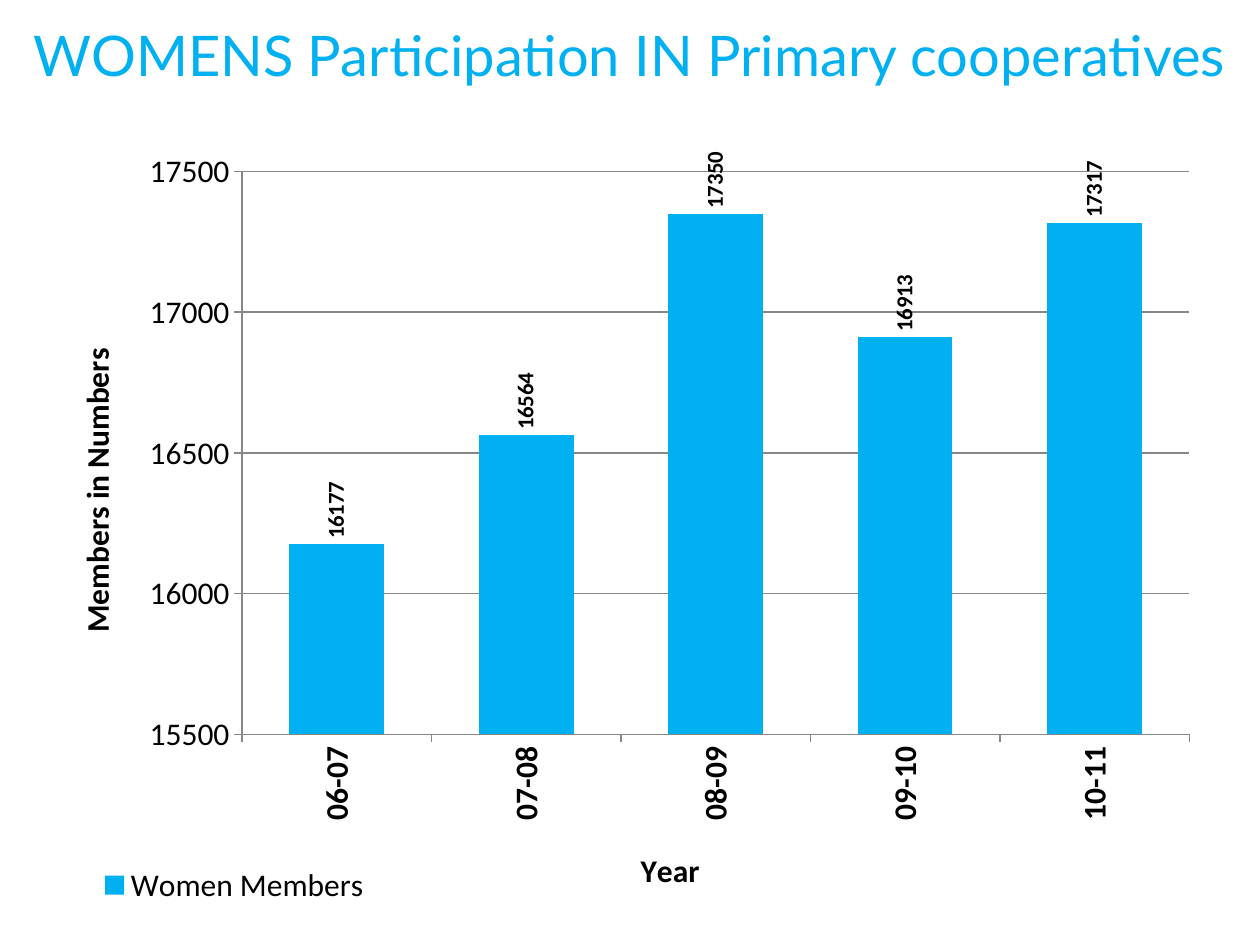
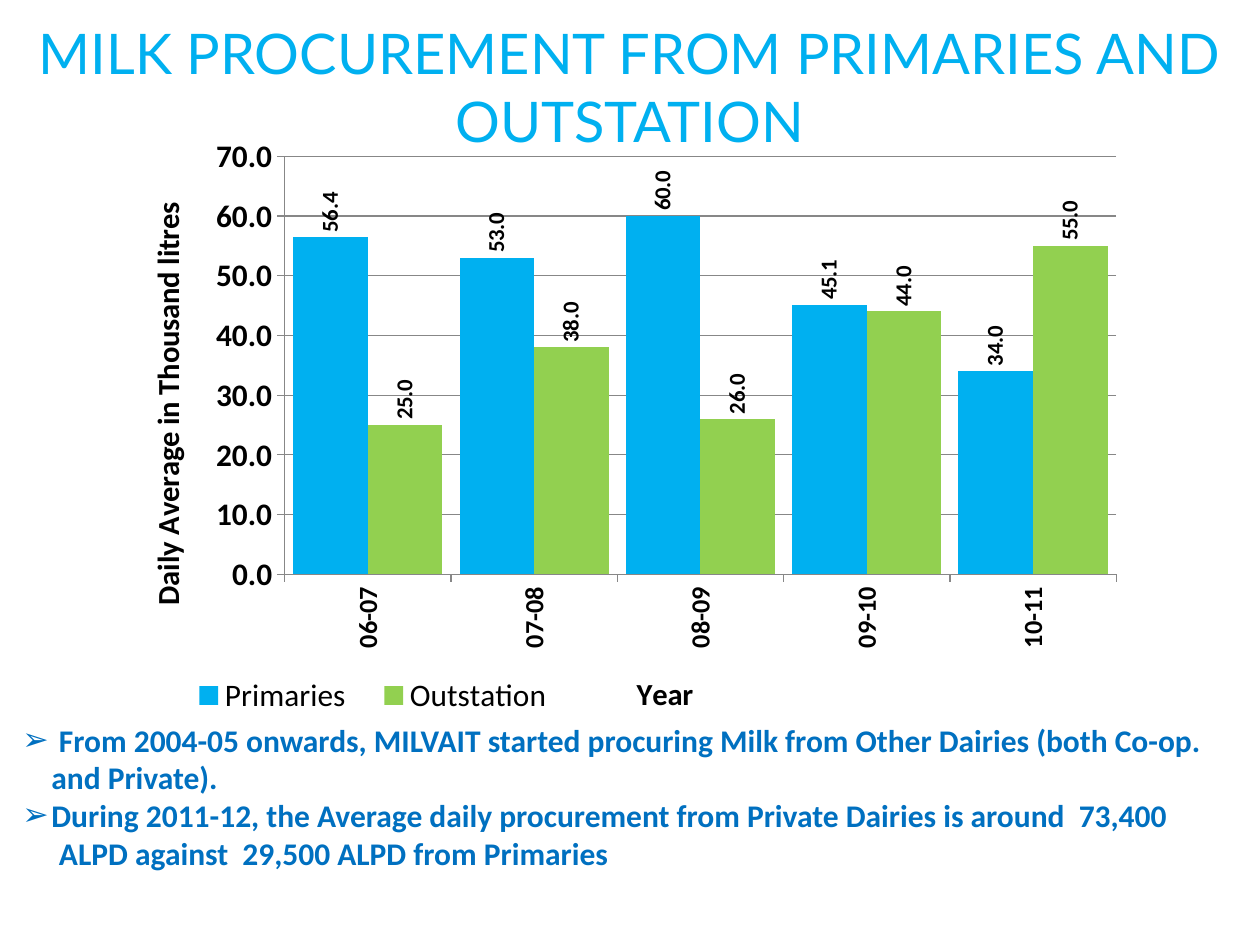
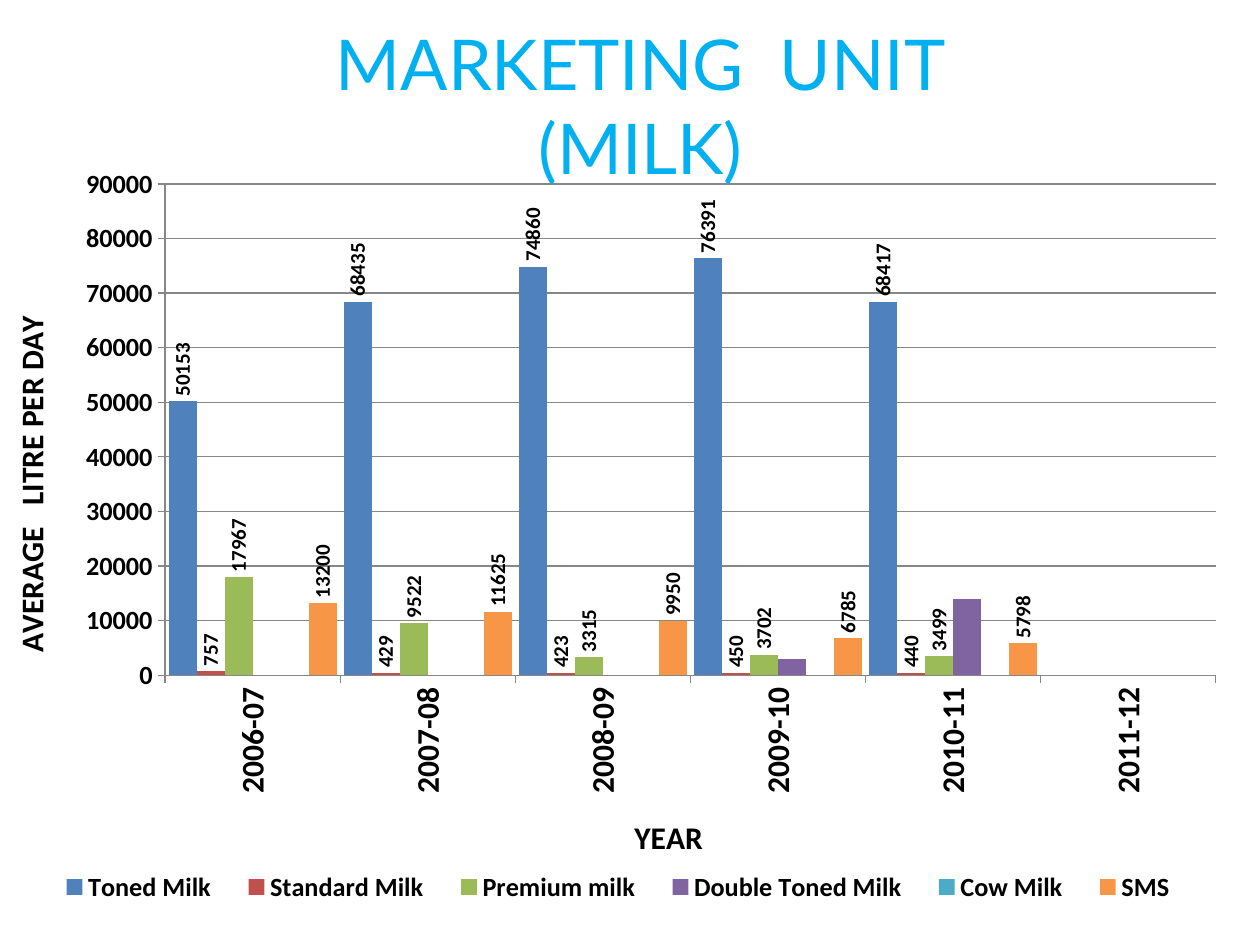
from lxml.etree import SubElement as Sub
from pptx import Presentation
from pptx.chart.data import CategoryChartData as Data
from pptx.dml.color import RGBColor
from pptx.enum.chart import XL_CHART_TYPE as Kind
from pptx.enum.chart import XL_LABEL_POSITION as Spot
from pptx.enum.chart import XL_LEGEND_POSITION as Side
from pptx.enum.chart import XL_TICK_MARK as Tick
from pptx.enum.text import PP_ALIGN as Align
from pptx.oxml import parse_xml
from pptx.oxml.ns import nsdecls, qn
from pptx.util import Inches, Pt

SKY = "00B0F0"
LIME = "92D050"
NAVY = "0070C0"
BLACK = "000000"
GRID = "878787"
UP = "-5400000"
YEARS = ["06-07", "07-08", "08-09", "09-10", "10-11"]


def style(font, size, bold=False, hue=BLACK, name="Calibri"):
    for key, val in {"size": Pt(size), "bold": bold, "name": name}.items():
        setattr(font, key, val)
    font.color.rgb = RGBColor.from_string(hue)


def place(node, index, box, frame, inner=False):
    for old in node.findall(qn("c:layout")):
        node.remove(old)
    layout = parse_xml(f"<c:layout {nsdecls('c')}><c:manualLayout/></c:layout>")
    parts = [("layoutTarget", "inner")] if inner else []
    parts += [("xMode", "edge"), ("yMode", "edge")]
    parts += [(tag, part / full) for tag, part, full in zip("xywh", box, frame[2:] * 2)]
    for tag, val in parts:
        Sub(layout[0], qn("c:" + tag)).set("val", str(val))
    node.insert(index, layout)


decks = [
    {
        "title": ["WOMENS Participation IN Primary cooperatives"],
        "head": (0, 0.11, 10, 1.18), "size": 32,
        "frame": (0.25, 1.08, 9.5, 6.42), "cats": YEARS, "gap": 100,
        "plot": (1.67, 0.28, 7.52, 4.47), "key": (0.42, 5.75, 2.38, 0.39),
        "key font": (18, False), "range": (15500, 17500, 500), "form": "General",
        "cat": ("Year", 18, 18, True, (4.79, 5.61)),
        "val": ("Members in Numbers", 18, 18, False, (0.3, 1.64)),
        "label": 13,
        "rows": [("Women Members", SKY, [16177, 16564, 17350, 16913, 17317])],
    },
    {
        "title": ["MILK PROCUREMENT FROM PRIMARIES AND OUTSTATION"],
        "head": (0, 0.1, 10, 1.18), "size": 32,
        "frame": (0.92, 1.08, 8.17, 4.67), "cats": YEARS, "gap": 23,
        "plot": (1.34, 0.16, 6.6, 3.32), "key": (0.44, 4.29, 3.2, 0.37),
        "key font": (17.9, False), "range": (0, 70, 10), "form": "0.0",
        "cat": ("Year", 17.5, 15, True, (4.09, 4.22)),
        "val": ("Daily Average in Thousand litres", 17.5, 17.9, True, (0.2, 0.48)),
        "label": 13,
        "rows": [
            ("Primaries", SKY, [56.4, 53, 60, 45.1, 34]),
            ("Outstation", LIME, [25, 38, 26, 44, 55]),
        ],
    },
    {
        "title": ["MARKETING  UNIT", "(MILK)"],
        "head": (0.25, 0.11, 9.67, 1.45), "size": 40,
        "frame": (0, 1.25, 10, 6),
        "cats": ["2006-07", "2007-08", "2008-09", "2009-10", "2010-11", "2011-12"],
        "gap": 25,
        "plot": (1.31, 0.21, 8.34, 3.9), "key": (0.3, 5.61, 9.21, 0.36),
        "key font": (15, True), "range": (0, 90000, 10000), "form": "General",
        "cat": ("YEAR", 18, 18, True, (4.99, 5.18)),
        "val": ("AVERAGE   LITRE PER DAY", 18, 15, True, (0.03, 1.21)),
        "label": 12,
        "rows": [
            ("Toned Milk", "4F81BD", [50153, 68435, 74860, 76391, 68417, None]),
            ("Standard Milk", "C0504D", [757, 429, 423, 450, 440, None]),
            ("Premium milk", "9BBB59", [17967, 9522, 3315, 3702, 3499, None]),
            ("Double Toned Milk", "8064A2", [None, None, None, 3000, 14000, None]),
            ("Cow Milk", "4BACC6", [None] * 6),
            ("SMS", "F79646", [13200, 11625, 9950, 6785, 5798, None]),
        ],
    },
]
plain = ["Double Toned Milk", "Cow Milk"]

notes = [
    (True, 0.29, "From 2004-05 onwards, MILVAIT started procuring Milk from Other Dairies (both Co-op."),
    (False, 0.23, "and Private)."),
    (True, 0.23, "During 2011-12, the Average daily procurement from Private Dairies is around  73,400"),
    (False, 0.29, "ALPD against  29,500 ALPD from Primaries"),
]

prs = Presentation()
prs.slide_width = Inches(10)
prs.slide_height = Inches(7.5)

for deck in decks:
    slide = prs.slides.add_slide(prs.slide_layouts[6])

    data = Data(number_format=deck["form"])
    data.categories = deck["cats"]
    for name, hue, vals in deck["rows"]:
        data.add_series(name, vals)
    frame = deck["frame"]
    chart = slide.shapes.add_chart(Kind.COLUMN_CLUSTERED, *map(Inches, frame), data).chart
    chart.has_title = False
    style(chart.font, deck["key font"][0])
    place(chart._chartSpace.chart.plotArea, 0, deck["plot"], frame, True)

    chart.has_legend = True
    chart.legend.position = Side.RIGHT
    chart.legend.include_in_layout = False
    style(chart.legend.font, *deck["key font"])
    place(chart.legend._element, 1, deck["key"], frame)

    low, high, step = deck["range"]
    value = chart.value_axis
    for key, val in {"minimum_scale": low, "maximum_scale": high, "major_unit": step}.items():
        setattr(value, key, val)
    value.tick_labels.number_format = deck["form"]
    value.tick_labels.number_format_is_linked = False
    for axis, part in ((chart.category_axis, "cat"), (value, "val")):
        text, big, size, bold, spot = deck[part]
        axis.major_tick_mark = Tick.OUTSIDE
        style(axis.tick_labels.font, size, bold)
        head = axis.axis_title.text_frame
        head.text = text
        style(head.paragraphs[0].runs[0].font, big, True)
        place(axis.axis_title._element, 1, spot, frame)
        turn = head._txBody.bodyPr if part == "val" else axis._element.txPr.bodyPr
        turn.set("rot", UP)
        turn.set("vert", "horz")
    for item in (chart.category_axis, value, value.major_gridlines):
        item.format.line.color.rgb = RGBColor.from_string(GRID)
        item.format.line.width = Pt(0.75)

    plot = chart.plots[0]
    plot.gap_width = deck["gap"]
    plot.overlap = 0
    plot.vary_by_categories = False
    for bar, (name, hue, vals) in zip(plot.series, deck["rows"]):
        bar.format.fill.solid()
        bar.format.fill.fore_color.rgb = RGBColor.from_string(hue)
        if name in plain:
            continue
        tags = bar.data_labels
        opts = {"show_value": True, "position": Spot.OUTSIDE_END,
                "number_format": deck["form"], "number_format_is_linked": False}
        for key, val in opts.items():
            setattr(tags, key, val)
        style(tags.font, deck["label"], True)
        turn = tags._element.find(qn("c:txPr")).find(qn("a:bodyPr"))
        turn.set("rot", UP)
        turn.set("vert", "horz")

    body = slide.shapes.add_textbox(*map(Inches, deck["head"])).text_frame
    body.word_wrap = True
    body.text = "\n".join(deck["title"])
    for para in body.paragraphs:
        para.alignment = Align.CENTER
        style(para.runs[0].font, deck["size"], False, SKY, "Lato")

slide = prs.slides[1]
box = slide.shapes.add_textbox(Inches(0.08), Inches(5.67), Inches(9.83), Inches(1.31))
body = box.text_frame
body.word_wrap = True
body.text = "\n".join(text for mark, left, text in notes)
for para, (mark, left, text) in zip(body.paragraphs, notes):
    style(para.runs[0].font, 18, True, NAVY)
    props = para._p.get_or_add_pPr()
    props.set("marL", str(Inches(left)))
    if mark:
        props.set("indent", str(-Inches(left)))
        Sub(props, qn("a:buFont")).set("typeface", "Calibri")
        Sub(props, qn("a:buChar")).set("char", "➢")

prs.save("out.pptx")
